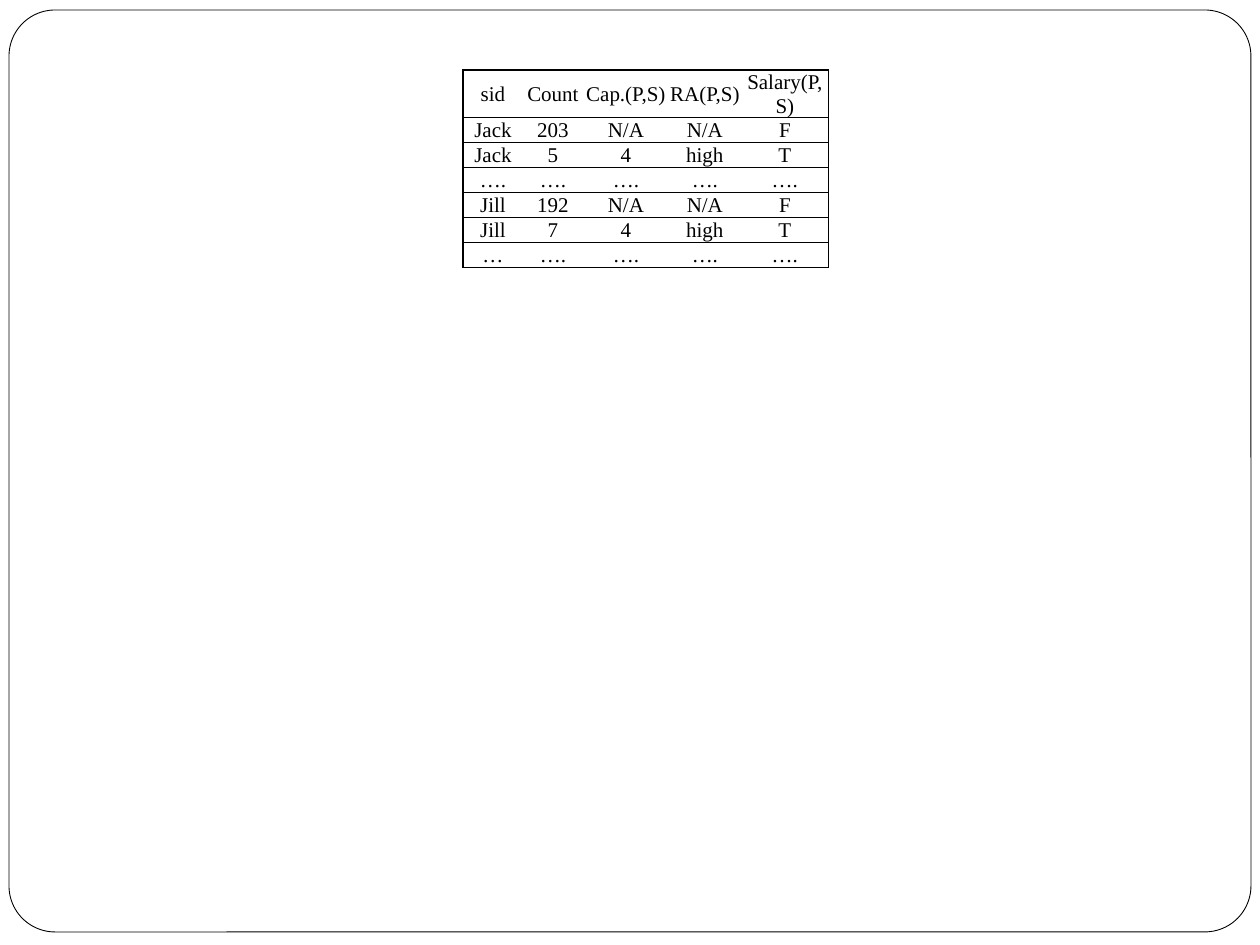
from dataclasses import dataclass

from lxml.etree import SubElement
from pptx import Presentation
from pptx.dml.color import RGBColor
from pptx.enum.shapes import MSO_SHAPE
from pptx.enum.text import MSO_ANCHOR, PP_ALIGN
from pptx.oxml.ns import qn
from pptx.util import Emu, Pt

PX_PER_INCH = 126


def px(n):
    return Emu(round(n * 914400 / PX_PER_INCH))


@dataclass(frozen=True)
class Theme:
    paper: str = "FFFFFF"
    ink: str = "000000"
    font: str = "Times New Roman"
    text_size: float = 12
    frame_line: float = 0.5
    rule_line: float = 0.75


class SlideBuilder:
    def __init__(self, slide, theme):
        self.s = slide
        self.theme = theme

    def frame(self, x, y, w, h, corner):
        t = self.theme
        sp = self.s.shapes.add_shape(
            MSO_SHAPE.ROUNDED_RECTANGLE, px(x), px(y), px(w), px(h))
        sp.adjustments[0] = corner
        sp.shadow.inherit = False
        sp.fill.solid()
        sp.fill.fore_color.rgb = RGBColor.from_string(t.paper)
        sp.line.color.rgb = RGBColor.from_string(t.ink)
        sp.line.width = Pt(t.frame_line)

    def table(self, x, y, col_widths, row_heights, rows):
        table = self.s.shapes.add_table(
            len(rows), len(col_widths), px(x), px(y),
            px(sum(col_widths)), px(sum(row_heights))).table
        table.first_row = table.horz_banding = False
        for col, width in zip(table.columns, col_widths):
            col.width = px(width)
        for row, height in zip(table.rows, row_heights):
            row.height = px(height)
        last = len(col_widths) - 1
        for i, values in enumerate(rows):
            for j, value in enumerate(values):
                cell = table.cell(i, j)
                self.cell_text(cell, value)
                # Rules between rows, and only the outer sides of the table
                self.cell_borders(cell, L=j == 0, R=j == last, T=True, B=True)
                cell.fill.background()

    def cell_text(self, cell, text):
        t = self.theme
        cell.margin_left = cell.margin_right = cell.margin_top = px(1)
        cell.margin_bottom = 0
        cell.vertical_anchor = MSO_ANCHOR.MIDDLE
        p = cell.text_frame.paragraphs[0]
        p.alignment = PP_ALIGN.CENTER
        r = p.add_run()
        r.text = text
        r.font.name = t.font
        r.font.size = Pt(t.text_size)
        r.font.color.rgb = RGBColor.from_string(t.ink)

    def cell_borders(self, cell, **sides):
        t = self.theme
        props = cell._tc.get_or_add_tcPr()
        for side, visible in sides.items():
            ln = SubElement(props, qn(f"a:ln{side}"))
            if visible:
                ln.set("w", str(Pt(t.rule_line)))
                fill = SubElement(ln, qn("a:solidFill"))
                SubElement(fill, qn("a:srgbClr")).set("val", t.ink)
            else:
                ln.set("w", "0")
                SubElement(ln, qn("a:noFill"))


def main():
    prs = Presentation()
    prs.slide_width, prs.slide_height = px(1260), px(945)
    slide = SlideBuilder(prs.slides.add_slide(prs.slide_layouts[6]), Theme())

    # Rounded page frame
    slide.frame(9, 10, 1242, 922, corner=0.05)

    # Counts per student; the header row grows with its wrapped label
    rows = [
        ["sid", "Count", "Cap.(P,S)", "RA(P,S)", "Salary(P,S)"],
        ["Jack", "203", "N/A", "N/A", "F"],
        ["Jack", "5", "4", "high", "T"],
        ["…."] * 5,
        ["Jill", "192", "N/A", "N/A", "F"],
        ["Jill", "7", "4", "high", "T"],
        ["…"] + ["…."] * 4,
    ]
    slide.table(463, 70, [60, 60, 86, 72, 88], [26] + [25] * 6, rows)

    prs.save("out.pptx")


if __name__ == "__main__":
    main()
